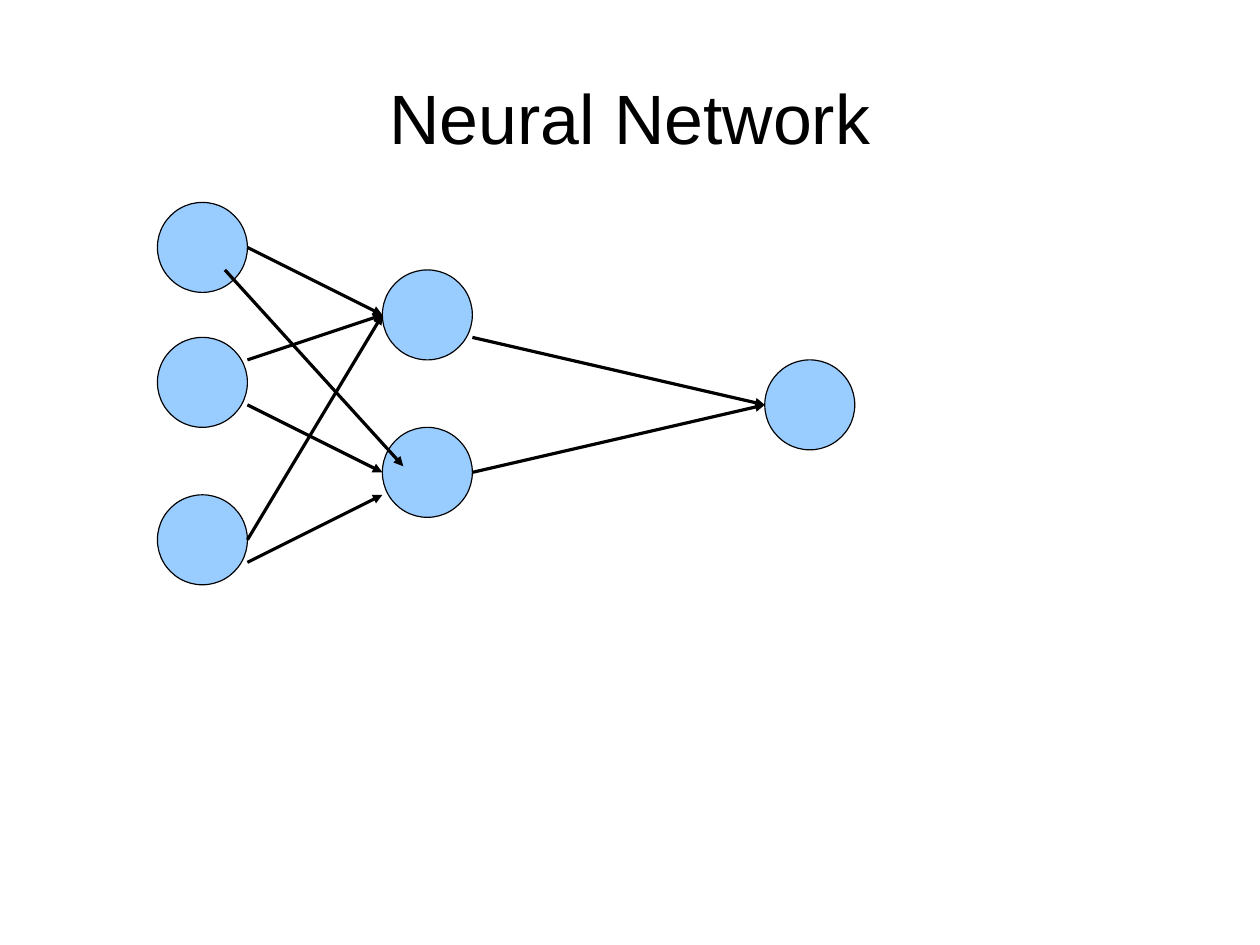
from dataclasses import dataclass

from lxml.etree import SubElement
from pptx import Presentation
from pptx.dml.color import RGBColor
from pptx.enum.shapes import MSO_CONNECTOR as Connector, MSO_SHAPE as Shape
from pptx.enum.text import MSO_ANCHOR as Anchor, MSO_AUTO_SIZE as AutoSize, PP_ALIGN as Align
from pptx.oxml.ns import qn
from pptx.util import Pt


@dataclass(frozen=True)
class Theme:
    ink: RGBColor = RGBColor(0x00, 0x00, 0x00)
    neuron: RGBColor = RGBColor(0x99, 0xCC, 0xFF)
    font: str = "Arial"
    title_size: int = 44
    line_width: int = 0


THEME = Theme()
GRID = 14.17
DIAMETER = 4

NEURONS = [(7, 9), (7, 15), (7, 22), (17, 12), (17, 19), (34, 16)]

ARROWS = [
    ((11, 11), (17, 14)),
    ((11, 16), (17, 14)),
    ((11, 24), (17, 14)),
    ((10, 12), (17.93, 20.73)),
    ((11, 18), (17, 21)),
    ((11, 25), (17, 22)),
    ((21, 15), (34, 18)),
    ((21, 21), (34, 18)),
]


def on_grid(*steps):
    return [Pt(step * GRID) for step in steps]


def style_line(line):
    line.color.rgb = THEME.ink
    line.width = Pt(THEME.line_width)


def set_title(page, text):
    title = page.shapes.title
    title.left, title.top, title.width, title.height = Pt(39.68), Pt(23.7), Pt(714.3), Pt(99.4)
    frame = title.text_frame
    frame.text = text
    frame.auto_size = AutoSize.NONE
    frame.word_wrap = True
    frame.vertical_anchor = Anchor.MIDDLE
    frame.margin_left = frame.margin_right = frame.margin_top = frame.margin_bottom = Pt(0)
    para = frame.paragraphs[0]
    para.alignment = Align.CENTER
    span = para.runs[0]
    span.font.name = THEME.font
    span.font.size = Pt(THEME.title_size)
    span.font.color.rgb = THEME.ink


def add_neuron(page, left, top):
    neuron = page.shapes.add_shape(Shape.OVAL, *on_grid(left, top, DIAMETER, DIAMETER))
    neuron.shadow.inherit = False
    neuron.fill.solid()
    neuron.fill.fore_color.rgb = THEME.neuron
    style_line(neuron.line)


def add_arrow(page, start, end):
    arrow = page.shapes.add_connector(Connector.STRAIGHT, *on_grid(*start, *end))
    style_line(arrow.line)
    properties = arrow.element.spPr
    SubElement(properties.find(qn("a:ln")), qn("a:tailEnd"), type="triangle")
    SubElement(properties, qn("a:effectLst"))


def main():
    deck = Presentation()
    deck.slide_width, deck.slide_height = Pt(793.7), Pt(595.3)
    page = deck.slides.add_slide(deck.slide_layouts.get_by_name("Title Only"))
    set_title(page, "Neural Network")
    for left, top in NEURONS:
        add_neuron(page, left, top)
    for start, end in ARROWS:
        add_arrow(page, start, end)
    deck.save("out.pptx")


if __name__ == "__main__":
    main()
